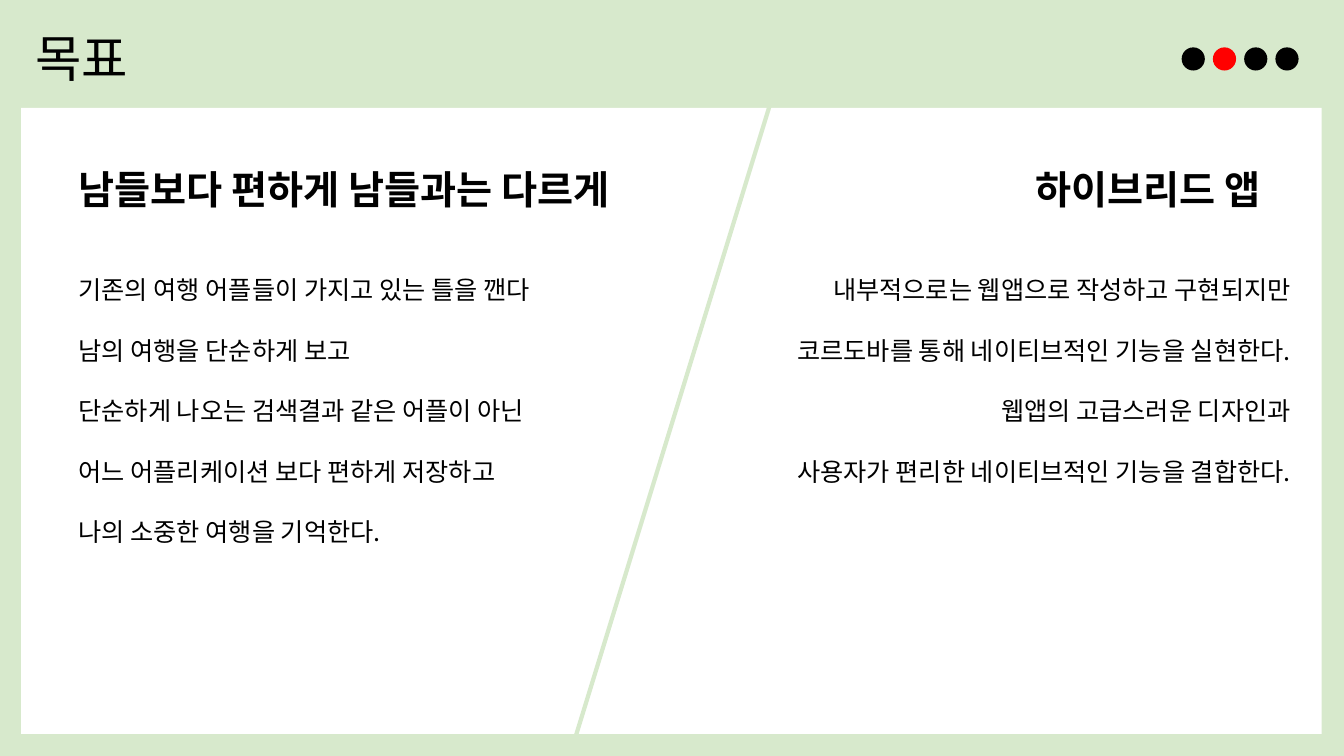
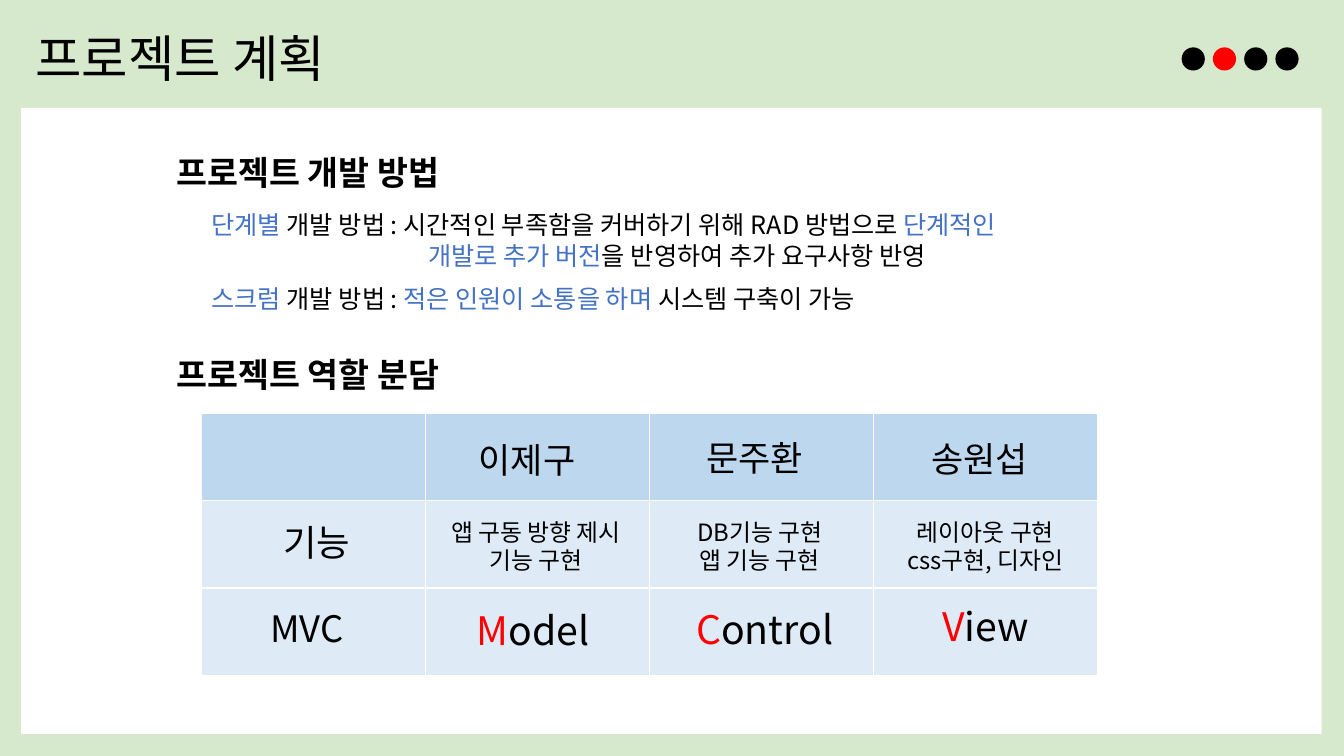
from lxml import etree
from pptx import Presentation
from pptx.dml.color import RGBColor
from pptx.enum.shapes import MSO_CONNECTOR, MSO_SHAPE
from pptx.enum.text import MSO_ANCHOR, MSO_AUTO_SIZE, PP_ALIGN
from pptx.oxml.ns import qn
from pptx.util import Inches, Pt

FONT = "Noto Sans CJK KR"
COLORS = {
    "green": "D7E9CC", "white": "FFFFFF", "black": "000000", "red": "FF0000",
    "blue": "4472C4", "header": "BDD7EE", "row": "DEEBF7",
}
DOT_COUNT, ACTIVE_DOT = 4, 1

GOALS = [
    {
        "heading": "남들보다 편하게 남들과는 다르게",
        "heading_box": (0.68, 1.59, 6.2, 0.57),
        "body_box": (0.68, 2.67, 5.5, 2.83),
        "align": PP_ALIGN.LEFT,
        "lines": [
            "기존의 여행 어플들이 가지고 있는 틀을 깬다",
            "남의 여행을 단순하게 보고",
            "단순하게 나오는 검색결과 같은 어플이 아닌",
            "어느 어플리케이션 보다 편하게 저장하고",
            "나의 소중한 여행을 기억한다.",
        ],
    },
    {
        "heading": "하이브리드 앱",
        "heading_box": (6.4, 1.59, 6.2, 0.57),
        "body_box": (6.88, 2.67, 6.02, 2.22),
        "align": PP_ALIGN.RIGHT,
        "lines": [
            "내부적으로는 웹앱으로 작성하고 구현되지만",
            "코르도바를 통해 네이티브적인 기능을 실현한다.",
            "웹앱의 고급스러운 디자인과",
            "사용자가 편리한 네이티브적인 기능을 결합한다.",
        ],
    },
]

PLAN_HEADINGS = [("프로젝트 개발 방법", 1.46), ("프로젝트 역할 분담", 3.46)]
METHODS = [
    [("단계별", "blue"),
     (" 개발 방법 : 시간적인 부족함을 커버하기 위해 RAD 방법으로 ", "black"),
     ("단계적인", "blue")],
    [("개발로 추가 버전", "blue"), ("을 반영하여 추가 요구사항 반영", "black")],
    [("스크럼", "blue"), (" 개발 방법 : ", "black"),
     ("적은 인원이 소통을 하며", "blue"), (" 시스템 구축이 가능", "black")],
]
TABLE_BOX = (2, 4.1, 8.89, 2.6)
TABLE_ROWS, TABLE_COLUMNS = 3, 4
ROW_LABELS = [("기능", (2.36, 5.11, 1.57, 0.54)), ("MVC", (2.26, 5.96, 1.57, 0.54))]
MEMBERS = [
    {"name": "이제구", "name_at": (4.65, 4.3), "part": "Model",
     "part_box": (4.5, 5.96, 1.57, 0.57), "task_left": 4.2,
     "tasks": ["앱 구동 방향 제시 기능 구현"]},
    {"name": "문주환", "name_at": (6.91, 4.28), "part": "Control",
     "part_box": (6.67, 5.95, 1.83, 0.57), "task_left": 6.42,
     "tasks": ["DB기능 구현", "앱 기능 구현"]},
    {"name": "송원섭", "name_at": (9.14, 4.29), "part": "View",
     "part_box": (8.99, 5.92, 1.57, 0.57), "task_left": 8.66,
     "tasks": ["레이아웃 구현", "css구현, 디자인"]},
]


def color(name):
    return RGBColor.from_string(COLORS[name])


def write(frame, paragraphs, size, align=PP_ALIGN.LEFT, bold=False, pitch=None, gap=0):
    for index, runs in enumerate(paragraphs):
        paragraph = frame.paragraphs[0] if index == 0 else frame.add_paragraph()
        paragraph.alignment = align
        if pitch:
            paragraph.line_spacing = Pt(pitch)
        if index and gap:
            paragraph.space_before = Pt(gap)
        for text, color_name in runs:
            run = paragraph.add_run()
            run.text = text
            run.font.size = Pt(size)
            run.font.bold = bold
            run.font.color.rgb = color(color_name)
            run.font.name = FONT


def prepare(frame, anchor):
    frame.word_wrap = True
    frame.auto_size = MSO_AUTO_SIZE.NONE
    frame.vertical_anchor = anchor


def add_text(slide, box, paragraphs, size, anchor=MSO_ANCHOR.MIDDLE, **style):
    frame = slide.shapes.add_textbox(*map(Inches, box)).text_frame
    prepare(frame, anchor)
    write(frame, paragraphs, size, **style)
    return frame


def add_filled(slide, kind, box, color_name):
    shape = slide.shapes.add_shape(kind, *map(Inches, box))
    shape.shadow.inherit = False
    shape.fill.solid()
    shape.fill.fore_color.rgb = color(color_name)
    shape.line.fill.background()


def add_slide(presentation, title_text):
    slide = presentation.slides.add_slide(presentation.slide_layouts[5])
    title = slide.shapes.title
    title.left, title.top, title.width, title.height = map(Inches, (0.25, 0.21, 5.8, 0.71))
    prepare(title.text_frame, MSO_ANCHOR.MIDDLE)
    write(title.text_frame, [[(title_text, "black")]], 36)
    add_filled(slide, MSO_SHAPE.RECTANGLE, (0.21, 1.07, 12.9, 6.21), "white")
    for index in range(DOT_COUNT):
        add_filled(slide, MSO_SHAPE.OVAL, (11.72 + 0.31 * index, 0.47, 0.23, 0.23),
                   "red" if index == ACTIVE_DOT else "black")
    return slide


def build_goals(presentation):
    slide = add_slide(presentation, "목표")
    divider = slide.shapes.add_connector(
        MSO_CONNECTOR.STRAIGHT, *map(Inches, (7.67, 0.93, 5.65, 7.5)))
    divider.line.color.rgb = color("green")
    divider.line.width = Pt(3)
    etree.SubElement(divider._element.spPr, qn("a:effectLst"))
    for goal in GOALS:
        add_text(slide, goal["heading_box"], [[(goal["heading"], "black")]], 28,
                 align=goal["align"], bold=True)
        add_text(slide, goal["body_box"], [[(line, "black")] for line in goal["lines"]], 18,
                 anchor=MSO_ANCHOR.TOP, align=goal["align"], pitch=22, gap=21.2)


def add_roles(slide):
    table = slide.shapes.add_table(
        TABLE_ROWS, TABLE_COLUMNS, *map(Inches, TABLE_BOX)).table
    for row_index, row in enumerate(table.rows):
        for cell in row.cells:
            cell.fill.solid()
            cell.fill.fore_color.rgb = color("row" if row_index else "header")
    for label, box in ROW_LABELS:
        add_text(slide, box, [[(label, "black")]], 26, align=PP_ALIGN.CENTER)
    for member in MEMBERS:
        part = member["part"]
        add_text(slide, (*member["name_at"], 2.27, 0.52), [[(member["name"], "black")]], 25)
        add_text(slide, (member["task_left"], 5.08, 2.23, 0.67),
                 [[(task, "black")] for task in member["tasks"]], 17,
                 align=PP_ALIGN.CENTER, pitch=20.4)
        add_text(slide, member["part_box"], [[(part[0], "red"), (part[1:], "black")]], 28,
                 align=PP_ALIGN.CENTER)


def build_plan(presentation):
    slide = add_slide(presentation, "프로젝트 계획")
    for heading, top in PLAN_HEADINGS:
        add_text(slide, (1.65, top, 9.28, 0.5), [[(heading, "black")]], 24, bold=True)
    methods = add_text(slide, (2, 2.02, 9.28, 1.14), METHODS, 18,
                       anchor=MSO_ANCHOR.TOP, pitch=22)
    continuation, scrum = methods.paragraphs[1:]
    continuation._p.get_or_add_pPr().set("marL", str(Inches(2.15)))
    scrum.space_before = Pt(9)
    add_roles(slide)


def main():
    presentation = Presentation()
    presentation.slide_width = Inches(13.33)
    presentation.slide_height = Inches(7.5)
    background = presentation.slide_master.background.fill
    background.solid()
    background.fore_color.rgb = color("green")
    build_goals(presentation)
    build_plan(presentation)
    presentation.save("out.pptx")


if __name__ == "__main__":
    main()
